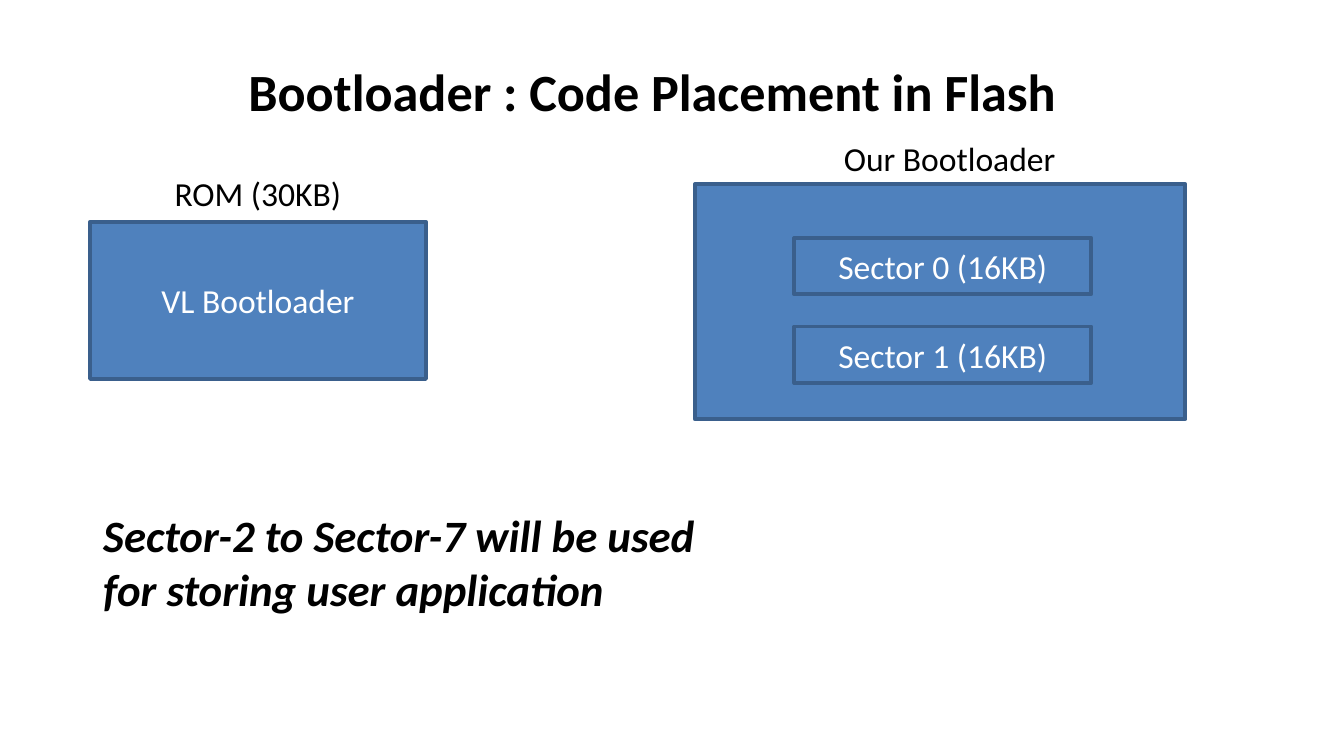
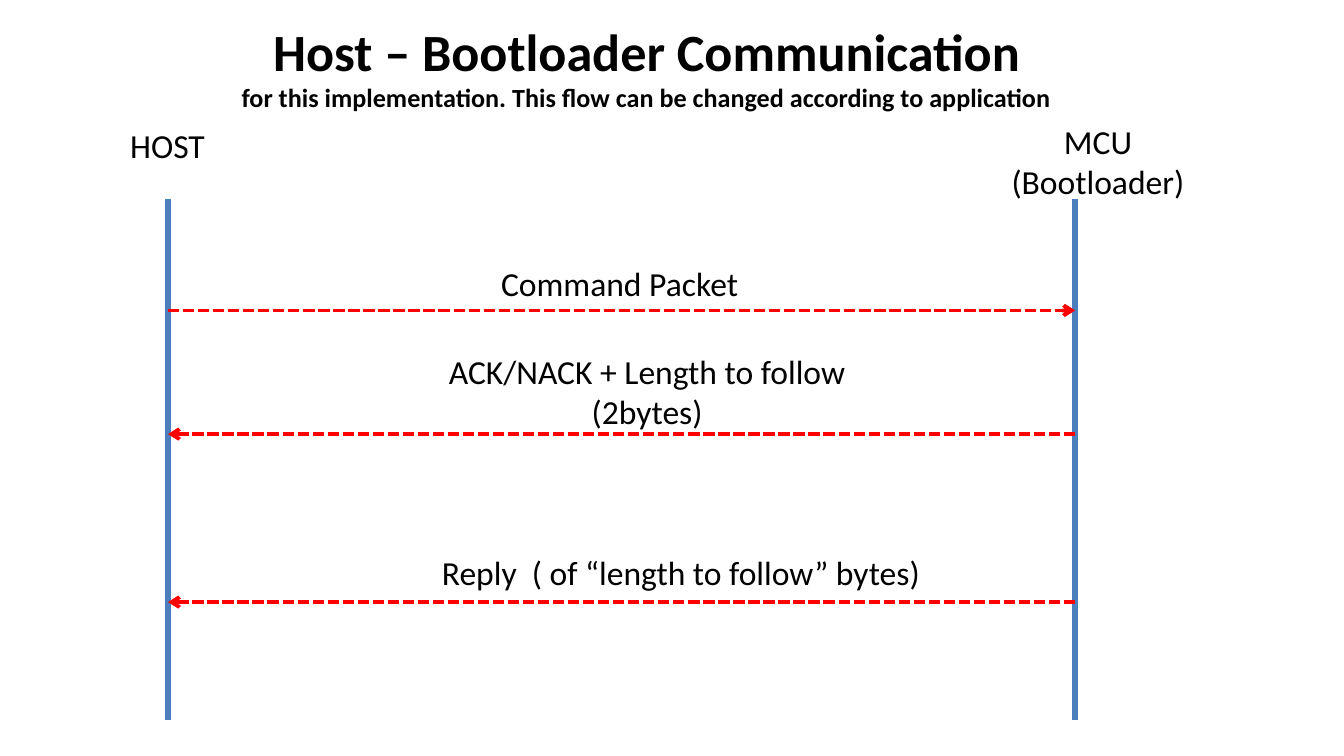
from lxml.etree import SubElement
from pptx import Presentation
from pptx.dml.color import RGBColor
from pptx.enum.dml import MSO_LINE
from pptx.enum.shapes import MSO_CONNECTOR, MSO_SHAPE
from pptx.enum.text import MSO_ANCHOR, MSO_AUTO_SIZE, PP_ALIGN
from pptx.oxml.ns import qn
from pptx.util import Inches, Pt


def color(value):
    return RGBColor.from_string(value)


class Deck:
    FONT = "Calibri"
    INK = "000000"
    BOX_FILL = "4F81BD"
    BOX_EDGE = "3A5F8C"
    BOX_TEXT = "FFFFFF"
    LIFELINE = "4B7EBC"
    MESSAGE = "FF0000"
    TITLE_SIZE = 28
    SUBTITLE_SIZE = 14
    BODY_SIZE = 18

    def __init__(self):
        self.presentation = Presentation()
        self.presentation.slide_width = Inches(10)
        self.presentation.slide_height = Inches(10) * 9 // 16
        self.slide = None

    def new_slide(self):
        self.slide = self.presentation.slides.add_slide(self.presentation.slide_layouts[6])

    def style(self, paragraph, size, ink, bold=False, italic=False, align=PP_ALIGN.LEFT):
        paragraph.alignment = align
        for run in paragraph.runs:
            run.font.name = self.FONT
            run.font.size = Pt(size)
            run.font.color.rgb = color(ink)
            run.font.bold = bold
            run.font.italic = italic

    def text(self, words, left, top, width, height, size=BODY_SIZE, wrap=False, **looks):
        frame = self.slide.shapes.add_textbox(
            Inches(left), Inches(top), Inches(width), Inches(height)).text_frame
        frame.text = words
        frame.word_wrap = wrap
        frame.auto_size = MSO_AUTO_SIZE.SHAPE_TO_FIT_TEXT
        align = PP_ALIGN.CENTER if len(frame.paragraphs) > 1 else PP_ALIGN.LEFT
        for paragraph in frame.paragraphs:
            self.style(paragraph, size, self.INK, align=align, **looks)
        return frame

    def title(self, words, left, top, width, height):
        frame = self.text(words, left, top, width, height, self.TITLE_SIZE, bold=True)
        for subtitle in frame.paragraphs[1:]:
            self.style(subtitle, self.SUBTITLE_SIZE, self.INK, bold=True,
                       align=PP_ALIGN.CENTER)

    def group(self):
        return self.slide.shapes.add_group_shape()

    def box(self, left, top, width, height, words="", group=None):
        parent = group or self.slide
        block = parent.shapes.add_shape(
            MSO_SHAPE.RECTANGLE, Inches(left), Inches(top), Inches(width), Inches(height))
        block.shadow.inherit = False
        block.fill.solid()
        block.fill.fore_color.rgb = color(self.BOX_FILL)
        block.line.color.rgb = color(self.BOX_EDGE)
        block.line.width = Pt(2)
        if words:
            frame = block.text_frame
            frame.text = words
            frame.word_wrap = True
            frame.vertical_anchor = MSO_ANCHOR.MIDDLE
            self.style(frame.paragraphs[0], self.BODY_SIZE, self.BOX_TEXT,
                       align=PP_ALIGN.CENTER)

    def line(self, x1, y1, x2, y2, ink, weight):
        stroke = self.slide.shapes.add_connector(
            MSO_CONNECTOR.STRAIGHT, Inches(x1), Inches(y1), Inches(x2), Inches(y2))
        stroke.line.color.rgb = color(ink)
        stroke.line.width = Pt(weight)
        SubElement(stroke.element.spPr, qn("a:effectLst"))
        return stroke

    def lifeline(self, x, top, bottom):
        self.line(x, top, x, bottom, self.LIFELINE, 3)

    def message(self, start, end, y):
        arrow = self.line(start, y, end, y, self.MESSAGE, 2)
        arrow.line.dash_style = MSO_LINE.SQUARE_DOT
        SubElement(arrow.element.spPr.find(qn("a:ln")), qn("a:tailEnd"), type="arrow")


def code_placement(deck):
    deck.new_slide()
    deck.title("Bootloader : Code Placement in Flash", 1.75, 0.39, 6.37, 0.57)

    deck.box(0.67, 1.65, 2.5, 1.17, "VL Bootloader")
    deck.text("ROM (30KB)", 1.2, 1.24, 1.45, 0.4)

    flash = deck.group()
    deck.box(5.17, 1.37, 3.65, 1.75, group=flash)
    for sector in range(2):
        deck.box(5.91, 1.77 + 0.66 * sector, 2.21, 0.42, f"Sector {sector} (16KB)", flash)
    deck.text("Our Bootloader", 6.18, 0.98, 1.79, 0.4)

    deck.text("Sector-2 to Sector-7 will be used for storing user application",
              0.67, 3.73, 5, 0.91, 24, wrap=True, bold=True, italic=True)


def host_communication(deck):
    deck.new_slide()
    deck.title("Host – Bootloader Communication\n"
               "for this implementation. This flow can be changed according to application",
               1.68, 0.09, 6.26, 0.81)

    host, mcu = 1.25, 8
    for participant in (host, mcu):
        deck.lifeline(participant, 1.48, 5.36)
    deck.text("HOST", 0.87, 0.88, 0.76, 0.4)
    deck.text("MCU\n(Bootloader)", 7.42, 0.85, 1.5, 0.71)

    messages = [
        (host, mcu, 2.31, "Command Packet", (3.63, 1.91, 1.99, 0.4)),
        (mcu, host, 3.23, "ACK/NACK + Length to follow\n(2bytes)", (3.19, 2.56, 3.25, 0.71)),
        (mcu, host, 4.48, "Reply  ( of “length to follow” bytes)", (3.19, 4.06, 3.94, 0.4)),
    ]
    for sender, receiver, y, words, place in messages:
        deck.message(sender, receiver, y)
        deck.text(words, *place)


def main():
    deck = Deck()
    code_placement(deck)
    host_communication(deck)
    deck.presentation.save("out.pptx")


if __name__ == "__main__":
    main()
